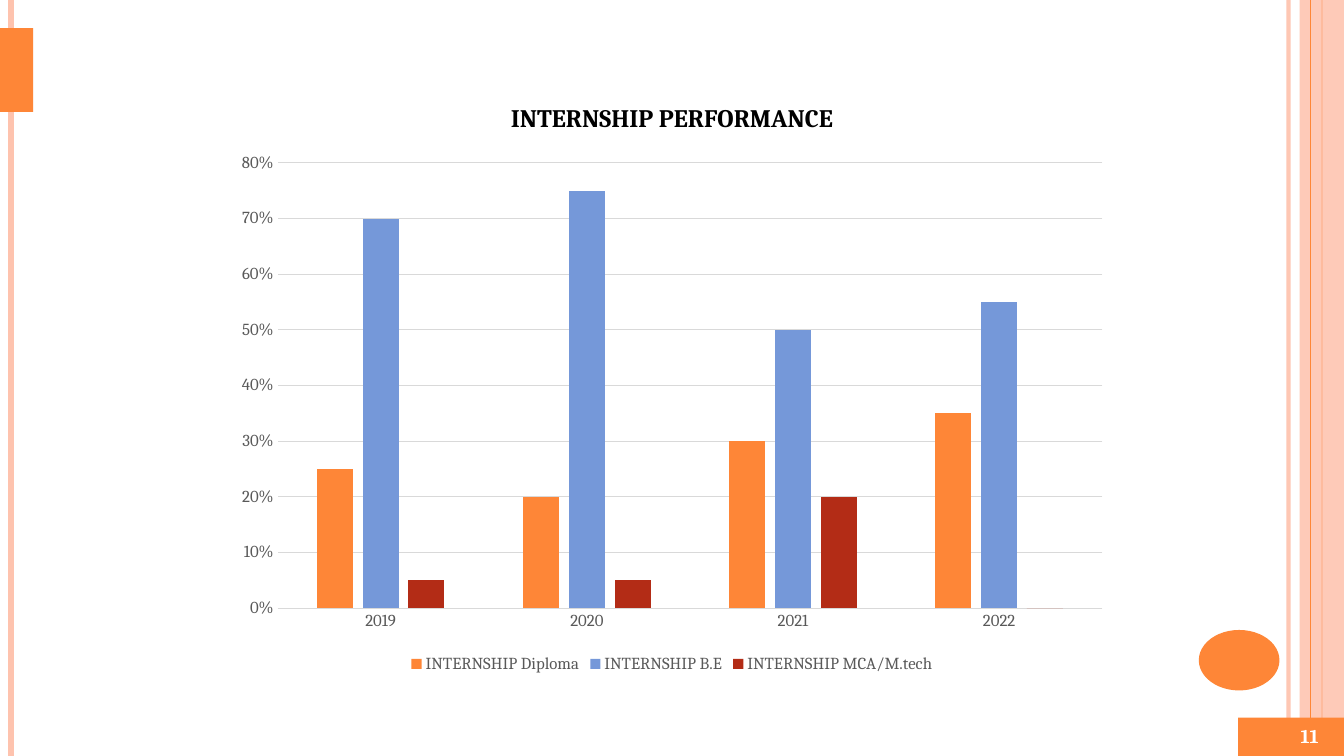
from lxml import etree
from pptx import Presentation
from pptx.chart.data import CategoryChartData
from pptx.dml.color import RGBColor
from pptx.enum.chart import XL_CHART_TYPE, XL_LEGEND_POSITION, XL_TICK_MARK
from pptx.enum.shapes import MSO_CONNECTOR, MSO_SHAPE
from pptx.enum.text import MSO_ANCHOR, PP_ALIGN
from pptx.oxml.ns import qn
from pptx.util import Inches, Pt

RECT, OVAL = MSO_SHAPE.RECTANGLE, MSO_SHAPE.OVAL
NO_TICK = XL_TICK_MARK.NONE
FONT = "Cambria"
ORANGE, PEACH, BLUE, RED = "FE8637", "FEC3AE", "7598D9", "B32C16"
BLACK, WHITE, GREY, GRID = "000000", "FFFFFF", "595959", "D9D9D9"


def paint(fmt, color, opacity=100):
    """Give a fill, or the fill of a line, a solid colour."""
    fmt.solid()
    fmt.fore_color.rgb = RGBColor.from_string(color)
    if opacity < 100:
        clr = fmt._xPr.find(".//" + qn("a:srgbClr"))
        etree.SubElement(clr, qn("a:alpha"), val=str(opacity * 1000))


def style_font(font, size, color, bold=False):
    font.name, font.size, font.bold = FONT, Pt(size), bold
    font.color.rgb = RGBColor.from_string(color)


prs = Presentation()
prs.slide_width, prs.slide_height = Inches(13.33), Inches(7.5)
W, H = 13.33, 7.5
s = prs.slides.add_slide(prs.slide_layouts[6])

# Frame, back to front: (x, colour, width, opacity) or (preset, box, colour, opacity)
frame = [
    (12.78, PEACH, 3, 93),
    (0.11, PEACH, 4.5, 100),
    (13.11, ORANGE, 1.5, 100),
    (RECT, (W - 0.44, 0, 0.44, H), PEACH, 87),
    (13, ORANGE, 0.75, 100),
    (OVAL, (11.89, 6.25, 0.8, 0.6), ORANGE, 100),
    (RECT, (W - 1.05, H - 0.38, 1.05, 0.38), ORANGE, 100),
    (RECT, (0, 0.28, 0.33, 0.83), ORANGE, 100),
]
for first, second, third, opacity in frame:
    if first in (RECT, OVAL) and isinstance(second, tuple):
        sp = s.shapes.add_shape(first, *map(Inches, second))
        sp.shadow.inherit = False
        paint(sp.fill, third, opacity)
        sp.line.fill.background()
    else:
        x = Inches(first)
        line = s.shapes.add_connector(MSO_CONNECTOR.STRAIGHT, x, 0, x, prs.slide_height)
        line.line.width = Pt(third)
        paint(line.line.fill, second, opacity)
        etree.SubElement(line._element.spPr, qn("a:effectLst"))

# Slide number
sp = s.shapes.add_textbox(*map(Inches, (W - 0.68, H - 0.4, 0.68, 0.4)))
tf = sp.text_frame
tf.word_wrap = True
tf.vertical_anchor = MSO_ANCHOR.MIDDLE
p = tf.paragraphs[0]
p.text = "11"
p.alignment = PP_ALIGN.CENTER
style_font(p.font, 14, WHITE, True)

# Chart, centred across the slide
series = [
    ("INTERNSHIP Diploma", (0.25, 0.2, 0.3, 0.35), ORANGE),
    ("INTERNSHIP B.E", (0.7, 0.75, 0.5, 0.55), BLUE),
    ("INTERNSHIP MCA/M.tech", (0.05, 0.05, 0.2, 0), RED),
]
data = CategoryChartData(number_format="0%")
data.categories = ["2019", "2020", "2021", "2022"]
for name, values, _ in series:
    data.add_series(name, values)
chart = s.shapes.add_chart(XL_CHART_TYPE.COLUMN_CLUSTERED,
                           *map(Inches, ((W - 8.89) / 2, 0.79, 8.89, 5.93)), data).chart
style_font(chart.font, 10, BLACK)

chart.has_title = True
chart.chart_title.include_in_layout = False
p = chart.chart_title.text_frame.paragraphs[0]
p.text = "INTERNSHIP PERFORMANCE"
style_font(p.font, 18, BLACK, True)

chart.has_legend = True
chart.legend.position = XL_LEGEND_POSITION.BOTTOM
chart.legend.include_in_layout = False
style_font(chart.legend.font, 12, GREY)

plot = chart.plots[0]
plot.gap_width, plot.overlap, plot.vary_by_categories = 219, -27, False
for bars, (_, _, color) in zip(plot.series, series):
    paint(bars.format.fill, color)
    bars.invert_if_negative = False

cat_axis, val_axis = chart.category_axis, chart.value_axis
for axis in (cat_axis, val_axis):
    axis.major_tick_mark = axis.minor_tick_mark = NO_TICK
    style_font(axis.tick_labels.font, 12, GREY)
val_axis.minimum_scale, val_axis.maximum_scale, val_axis.major_unit = 0, 0.8, 0.1
val_axis.tick_labels.number_format = "0%"
val_axis.tick_labels.number_format_is_linked = False
val_axis.format.line.fill.background()
for rule in (cat_axis.format.line, val_axis.major_gridlines.format.line):
    rule.width = Pt(0.75)
    paint(rule.fill, GRID)

prs.save("out.pptx")
